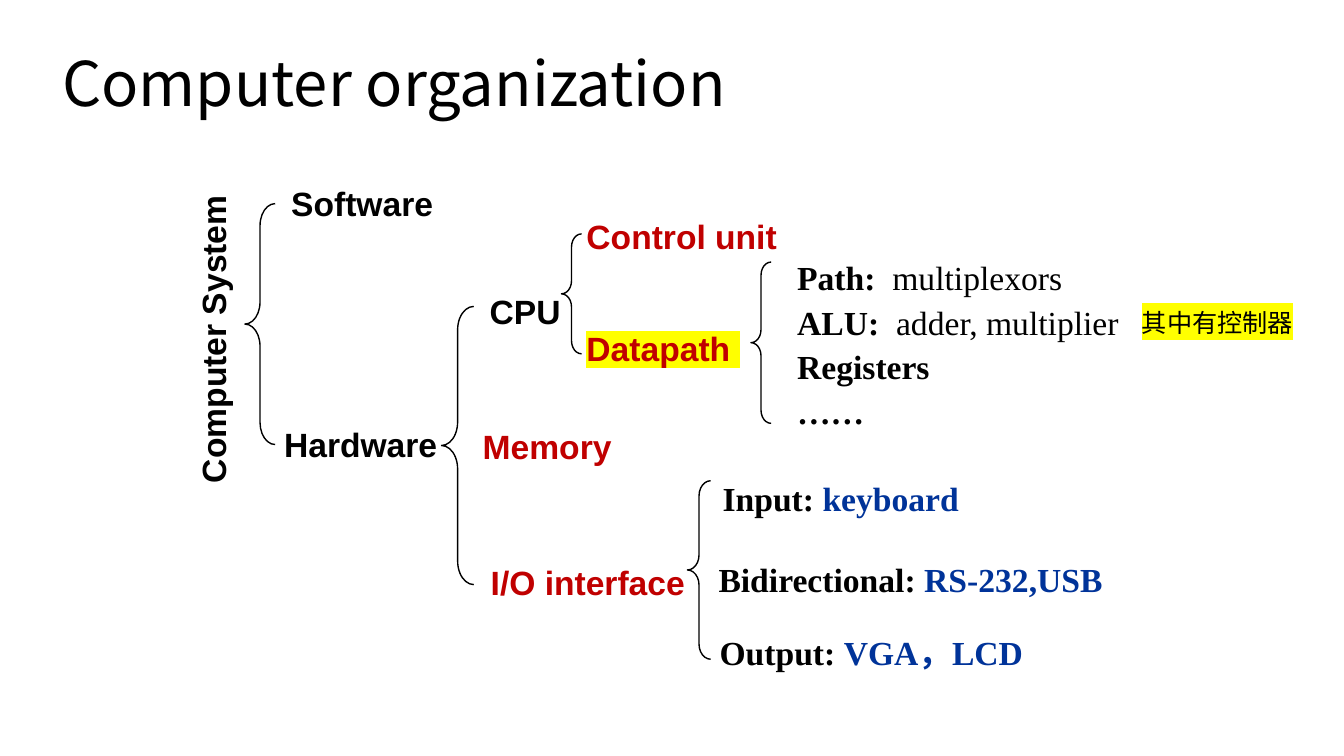
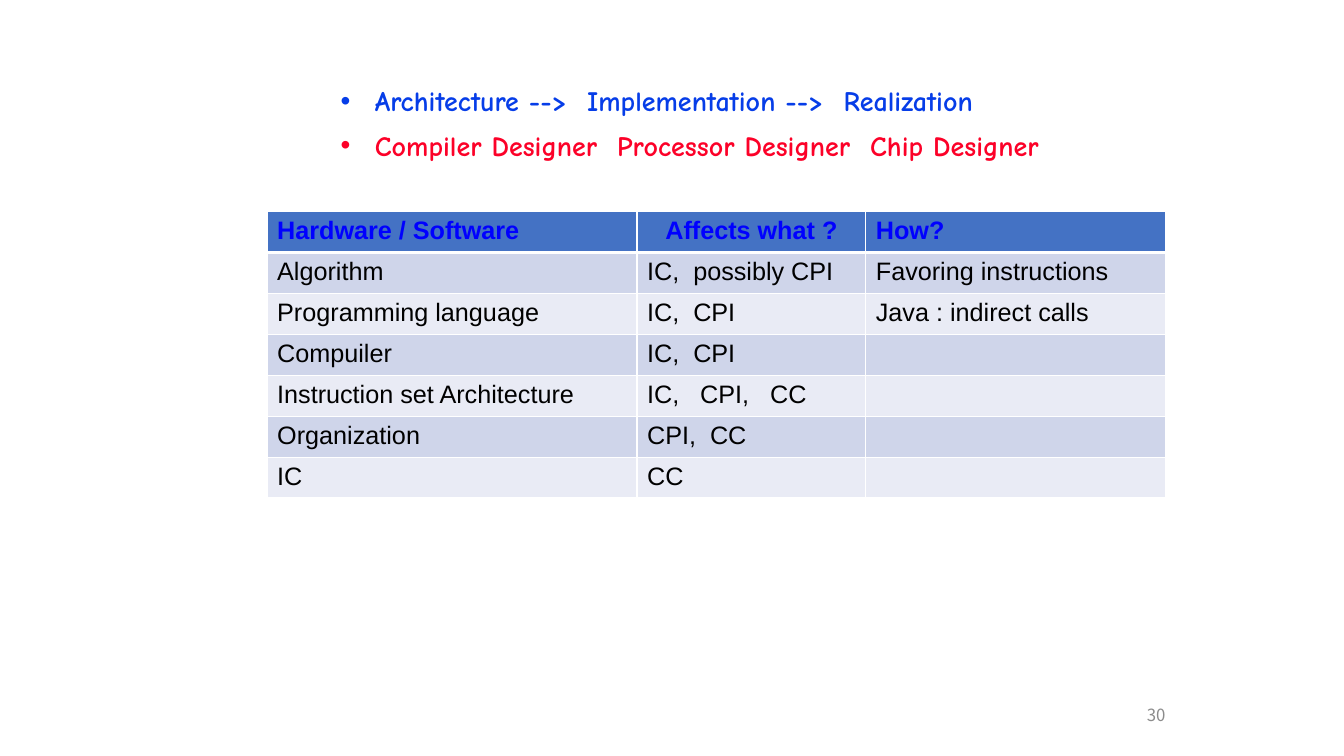
from pptx import Presentation
from pptx import util as u
from pptx.dml.color import RGBColor
from pptx.enum import shapes, text
from pptx.oxml import parse_xml
from pptx.oxml.ns import nsdecls

UNIT = u.Inches(0.1)
COLS, ROWS = 133.33, 75
BLACK, WHITE, RED, NAVY, YELLOW = "000000", "FFFFFF", "C00000", "003399", "FFFF00"
GREY, BLUE, ROSE, LINK = "8C8C8C", "063DE8", "FC0128", "0000FF"
HEAD, BANDS = "4472C4", ("E9EBF5", "CFD5EA")
SANS, SERIF, COMIC, NOTO = "Arial", "Times New Roman", "Comic Neue", "Noto Sans CJK SC"

LABELS = [
    ("Software", 27.9, 17.7, 16.2, BLACK),
    ("Hardware", 27.2, 41.6, 18, BLACK),
    ("CPU", 47.6, 28.4, 14.2, BLACK),
    ("Memory", 46.9, 41.8, 18.1, RED),
    ("I/O interface", 47.7, 55.3, 22, RED),
    ("Control unit", 57.2, 20.9, 23.6, RED),
]
BRACES = [
    (24.3, 20.2, 3, 23.9, 0.73),
    (43.8, 30.4, 3.2, 27.6, 0.73),
    (55.7, 23.2, 2, 11.9, 0.65),
    (74.5, 26, 2, 16, 0.65),
    (68.2, 47.7, 2.3, 17.7, 0.65),
]
PARTS = [
    ("Path:  ", "multiplexors"),
    ("ALU:  ", "adder, multiplier"),
    ("Registers", ""),
    ("……", ""),
]
PORTS = [
    ("Input: ", "keyboard", 70.7, 46.9),
    ("Bidirectional: ", "RS-232,USB", 70.3, 55),
    ("Output: ", "VGA，LCD", 70.4, 62.2),
]
STEPS = [
    ("Architecture -->  Implementation -->  Realization", BLUE),
    ("Compiler Designer  Processor Designer  Chip Designer", ROSE),
]
EFFECTS = [
    ("Hardware / Software", "Affects what ?", "How?"),
    ("Algorithm", "IC,  possibly CPI", "Favoring instructions"),
    ("Programming language", "IC,  CPI", "Java : indirect calls"),
    ("Compuiler", "IC,  CPI", ""),
    ("Instruction set Architecture", "IC,   CPI,   CC", ""),
    ("Organization", "CPI,  CC", ""),
    ("IC", "CC", ""),
]


def rgb(code):
    return RGBColor.from_string(code)


def grid(*spans):
    return [round(span * UNIT) for span in spans]


def style(para, face, size, color, bold=False):
    font = para.font
    font.name, font.size, font.bold = face, u.Pt(size), bold
    font.color.rgb = rgb(color)


def frame(slide, *spot):
    box = slide.shapes.add_textbox(*grid(*spot))
    box.text_frame.word_wrap = True
    return box


def label(slide, words, spot, color=BLACK, face=SANS, size=24, bold=True):
    box = frame(slide, *spot)
    para = box.text_frame.paragraphs[0]
    para.add_run().text = words
    style(para, face, size, color, bold)
    return box


def mark(box):
    run = box.text_frame.paragraphs[0].runs[0]
    run.font._element.append(parse_xml(
        f'<a:highlight {nsdecls("a")}><a:srgbClr val="{YELLOW}"/></a:highlight>'))


def pair(para, term, value, color=BLACK, bold=True):
    style(para, SERIF, 24, BLACK, True)
    para.add_run().text = term
    if value:
        run = para.add_run()
        run.text = value
        run.font.bold = bold
        run.font.color.rgb = rgb(color)


def brace(slide, x, y, w, h, curve):
    item = slide.shapes.add_shape(shapes.MSO_SHAPE.LEFT_BRACE, *grid(x, y, w, h))
    item.adjustments[0] = curve
    item.shadow.inherit = False
    item.fill.background()
    item.line.color.rgb = rgb(BLACK)
    item.line.width = u.Pt(1)


def title(slide, words):
    box = label(slide, words, (5.2, 3.3, 79.6, 10.5), BLACK, NOTO, 44, False)
    box.text_frame.vertical_anchor = text.MSO_ANCHOR.MIDDLE
    box.text_frame.paragraphs[0].line_spacing = 0.9


def number(slide, words):
    box = label(slide, words, (93.3, 68.3, 23.3, 5.2), GREY, NOTO, 12, False)
    box.text_frame.vertical_anchor = text.MSO_ANCHOR.MIDDLE
    box.text_frame.paragraphs[0].alignment = text.PP_ALIGN.RIGHT


def bullets(slide, items, spot):
    body = frame(slide, *spot).text_frame
    for i, (words, color) in enumerate(items):
        para = body.add_paragraph() if i else body.paragraphs[0]
        para.add_run().text = words
        para.line_spacing = 0.9
        para.space_before = u.Pt(10)
        style(para, COMIC, 20, color, True)
        props = para._p.get_or_add_pPr()
        inset = round(3.4 * UNIT)
        props.set("marL", str(inset))
        props.set("indent", str(-inset))
        dot = parse_xml(f'<a:buChar {nsdecls("a")} char="•"/>')
        face = parse_xml(f'<a:buFont {nsdecls("a")} typeface="{SANS}"/>')
        for part in (face, dot):
            props.insert(len(props) - 1, part)


def border(cell, base):
    props = cell._tc.get_or_add_tcPr()
    for i, (side, width) in enumerate(zip("LRTB", (1, 1, 1, base))):
        props.insert(i, parse_xml(
            f'<a:ln{side} {nsdecls("a")} w="{u.Pt(width)}"><a:solidFill>'
            f'<a:srgbClr val="{WHITE}"/></a:solidFill></a:ln{side}>'))


def matrix(slide, rows, widths, x, y, step):
    spot = grid(x, y, sum(widths), step * len(rows))
    table = slide.shapes.add_table(len(rows), len(widths), *spot).table
    for col, width in zip(table.columns, grid(*widths)):
        col.width = width
    for r, row in enumerate(rows):
        for c, words in enumerate(row):
            cell = table.cell(r, c)
            cell.fill.solid()
            cell.fill.fore_color.rgb = rgb(BANDS[r % 2] if r else HEAD)
            border(cell, 1 if r else 3)
            para = cell.text_frame.paragraphs[0]
            if words:
                para.add_run().text = words
            style(para, SANS, 18, BLACK if r else LINK, r == 0)
    table.cell(0, 1).text_frame.paragraphs[0].alignment = text.PP_ALIGN.CENTER


def system(slide):
    title(slide, "Computer organization")
    root = label(slide, "Computer System", (5.6, 30.8, 31.1, 5.1))
    root.rotation = 270
    for words, x, y, w, color in LABELS:
        label(slide, words, (x, y, w, 5), color)
    mark(label(slide, "Datapath  ", (57.2, 32, 17.3, 5), RED))
    for spot in BRACES:
        brace(slide, *spot)
    body = frame(slide, 78.1, 25, 37.9, 18.4).text_frame
    for i, (term, value) in enumerate(PARTS):
        para = body.add_paragraph() if i else body.paragraphs[0]
        para.space_before = u.Pt(3)
        pair(para, term, value, bold=False)
    for term, value, x, y in PORTS:
        port = frame(slide, x, y, 45.8, 5).text_frame
        pair(port.paragraphs[0], term, value, NAVY)
    mark(label(slide, "其中有控制器", (112.3, 30, 18.9, 4), size=18, bold=False))


def design(slide):
    bullets(slide, STEPS, (32.8, 8.2, 80.5, 8.4))
    matrix(slide, EFFECTS, (36.7, 22.7, 29.7), 26.5, 21, 4.06)
    number(slide, "30")


def main():
    deck = Presentation()
    deck.slide_width, deck.slide_height = grid(COLS, ROWS)
    for build in (system, design):
        build(deck.slides.add_slide(deck.slide_layouts[6]))
    deck.save("out.pptx")


main()
